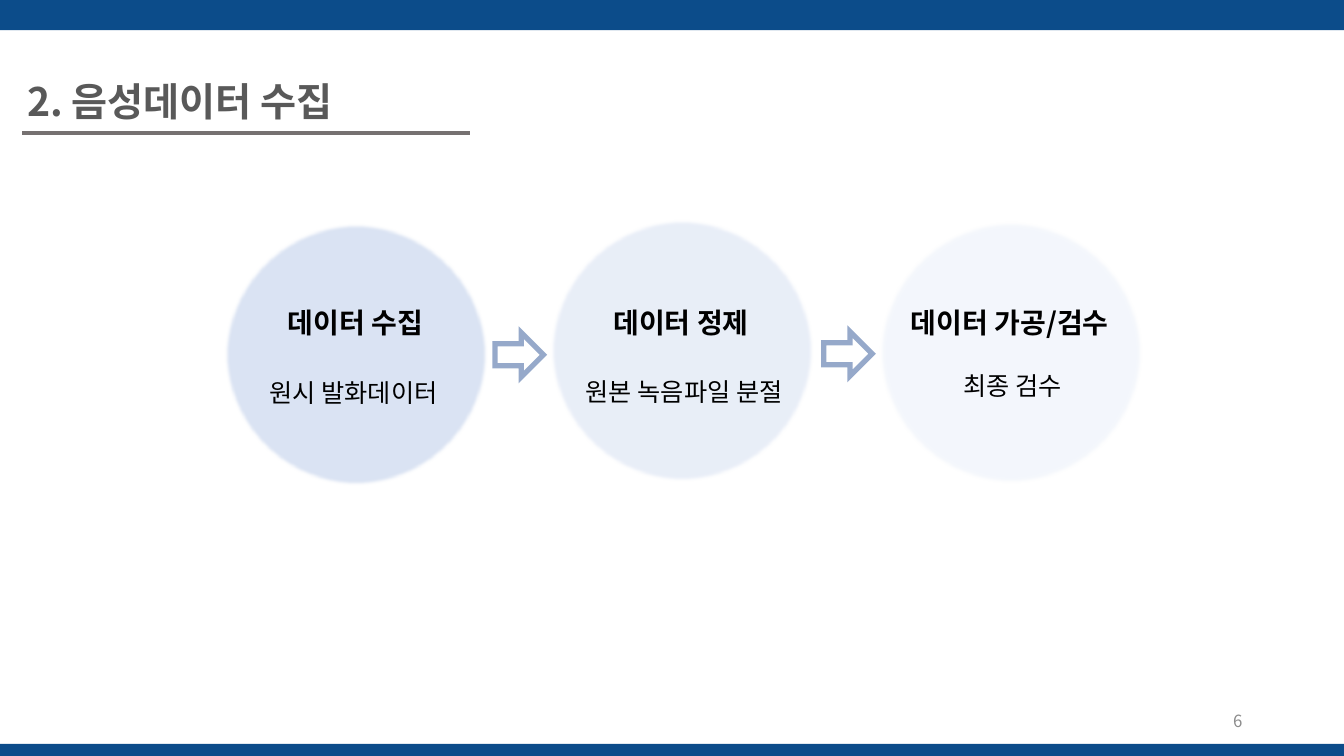
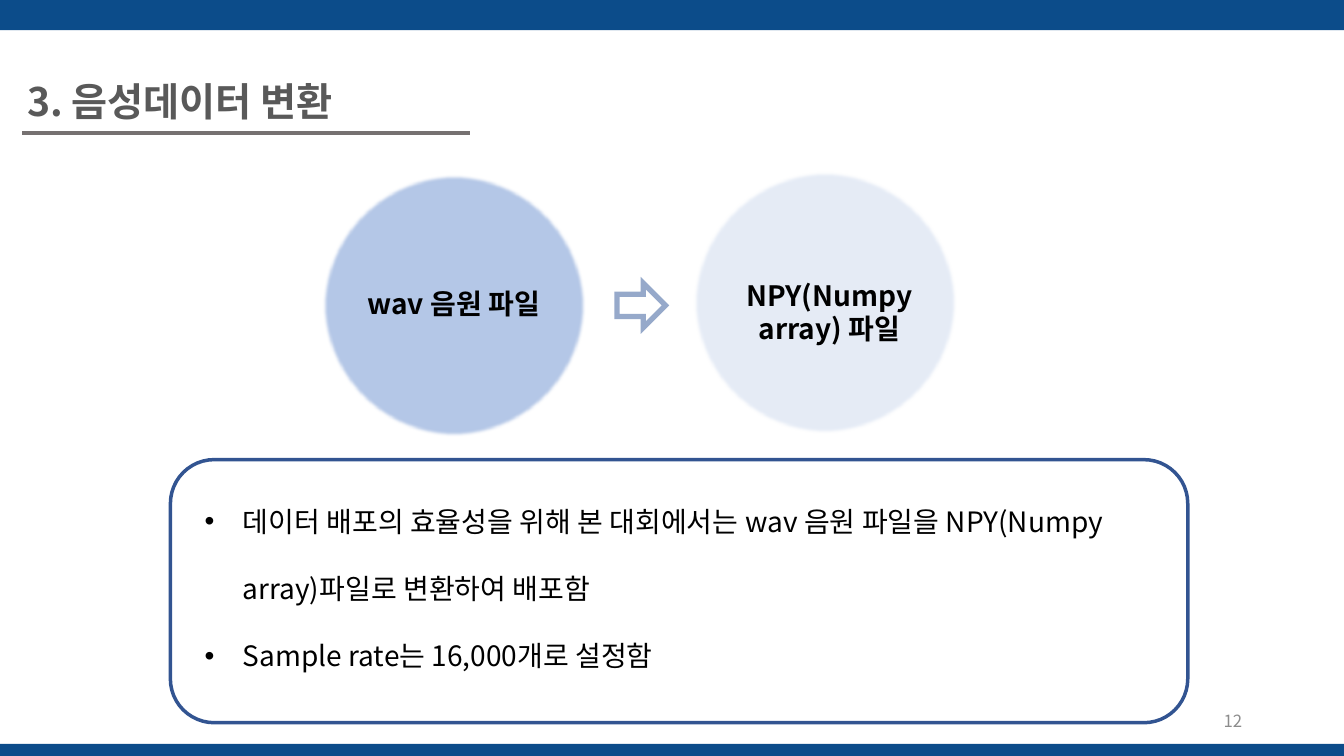
from pptx import Presentation
from pptx.dml.color import RGBColor
from pptx.enum.shapes import MSO_CONNECTOR, MSO_SHAPE as Kind
from pptx.enum.text import MSO_ANCHOR as Anchor, PP_ALIGN as Align
from pptx.oxml.ns import qn
from pptx.util import Inches, Pt
from lxml.etree import SubElement as Sub

FONT = "Noto Sans CJK KR"
NAVY, PALE, BLUE, EDGE = "0C4C8A", "DAE3F3", "B4C7E7", "2F5597"
DISC_W, DISC_H = 2.61, 2.6

deck = Presentation()
deck.slide_width, deck.slide_height = Inches(13.33), Inches(7.5)


def paint(form, color, alpha=100):
    """Give a fill a solid colour, with its opacity in percent."""
    form.solid()
    form.fore_color.rgb = RGBColor.from_string(color)
    if alpha < 100:
        tone = form._xPr.find(qn("a:solidFill"))[0]
        Sub(tone, qn("a:alpha"), val=str(alpha * 1000))


def write(slide, text, box, size=20, color="000000", bold=False,
          align=Align.CENTER, anchor=Anchor.TOP, space=None, bullet=False):
    """Add a text box; each line of the text is a paragraph."""
    frame = slide.shapes.add_textbox(*map(Inches, box)).text_frame
    frame.word_wrap = True
    frame.vertical_anchor = anchor
    frame.text = text
    for para in frame.paragraphs:
        para.alignment = align
        para.line_spacing = space
        font = para.runs[0].font
        font.size, font.bold, font.name = Pt(size), bold, FONT
        font.color.rgb = RGBColor.from_string(color)
        Sub(font._element, qn("a:ea"), typeface=FONT)
        if bullet:
            props = para._p.get_or_add_pPr()
            props.set("marL", str(Inches(0.38)))
            props.set("indent", str(Inches(-0.38)))
            Sub(props, qn("a:buFont"), typeface="Arial")
            Sub(props, qn("a:buChar"), char="•")


# Content: title, page, discs (left, top, colour, opacity),
# arrows (left, top), labels (text, box, size, bold)
pages = [
    ("2. 음성데이터 수집", 6,
     [(2.23, 2.22, PALE, 100), (5.46, 2.18, PALE, 60), (8.72, 2.2, PALE, 30)],
     [(4.91, 3.3), (8.17, 3.29)],
     [("데이터 수집", (2.61, 2.98, 1.83, 0.44), 20, True),
      ("데이터 정제", (5.84, 2.98, 1.83, 0.44), 20, True),
      ("데이터 가공/검수 ", (8.74, 2.98, 2.61, 0.44), 20, True),
      ("원시 발화데이터", (2.43, 3.69, 2.15, 0.4), 18, False),
      ("원본 녹음파일 분절", (5.48, 3.68, 2.61, 0.4), 18, False),
      ("최종 검수", (8.74, 3.62, 2.61, 0.4), 18, False)]),
    ("3. 음성데이터 변환", 12,
     [(3.2, 1.73, BLUE, 100), (6.88, 1.7, PALE, 70)],
     [(6.12, 2.81)],
     [("wav 음원 파일", (3.41, 2.79, 2.18, 0.44), 20, True),
      ("NPY(Numpy array) 파일", (6.92, 2.71, 2.61, 0.77), 20, True)]),
]

for title, page, discs, arrows, labels in pages:
    slide = deck.slides.add_slide(deck.slide_layouts[6])
    shapes = slide.shapes

    # Discs with soft edges
    for left, top, color, alpha in discs:
        disc = shapes.add_shape(
            Kind.OVAL, *map(Inches, (left, top, DISC_W, DISC_H)))
        paint(disc.fill, color, alpha)
        disc.line.fill.background()
        disc.shadow.inherit = False
        glow = disc._element.spPr.find(qn("a:effectLst"))
        Sub(glow, qn("a:softEdge"), rad=str(Pt(2.5)))
    for text, box, size, bold in labels:
        write(slide, text, box, size=size, bold=bold)

    # Title and its rule
    write(slide, title, (0.17, 0.72, 4.78, 0.57), size=28, color="595959",
          bold=True, align=Align.LEFT)
    rule = shapes.add_connector(
        MSO_CONNECTOR.STRAIGHT, *map(Inches, (0.22, 1.32, 4.66, 1.32)))
    paint(rule.line.fill, "767171")
    rule.line.width = Pt(3)
    Sub(rule._element.spPr, qn("a:effectLst"))

    # Arrows between the discs
    for left, top in arrows:
        arrow = shapes.add_shape(
            Kind.RIGHT_ARROW, *map(Inches, (left, top, 0.48, 0.44)))
        arrow.fill.background()
        arrow.line.width = Pt(3.75)
        paint(arrow.line.fill, EDGE, 50)
        Sub(arrow.line._ln, qn("a:miter"), lim="800000")
        arrow.shadow.inherit = False

    # Bands and page number
    for top, height in ((7.38, 0.12), (0, 0.3)):
        band = shapes.add_shape(
            Kind.RECTANGLE, *map(Inches, (0, top, 13.33, height)))
        paint(band.fill, NAVY)
        band.line.fill.background()
        band.shadow.inherit = False
    write(slide, str(page), (9.42, 6.95, 3, 0.4), size=12, color="8C8C8C",
          align=Align.RIGHT, anchor=Anchor.MIDDLE)

# Notes on the last slide, in a rounded frame
write(slide, "데이터 배포의 효율성을 위해 본 대회에서는 wav 음원 파일을 "
      "NPY(Numpy array)파일로 변환하여 배포함\n"
      "Sample rate는 16,000개로 설정함",
      (1.93, 4.62, 9.61, 2.01), align=Align.LEFT, space=2, bullet=True)
frame = shapes.add_shape(
    Kind.ROUNDED_RECTANGLE, *map(Inches, (1.69, 4.56, 10.09, 2.61)))
frame.fill.background()
paint(frame.line.fill, "325491")
frame.line.width = Pt(2.5)
frame.shadow.inherit = False

deck.save("out.pptx")
